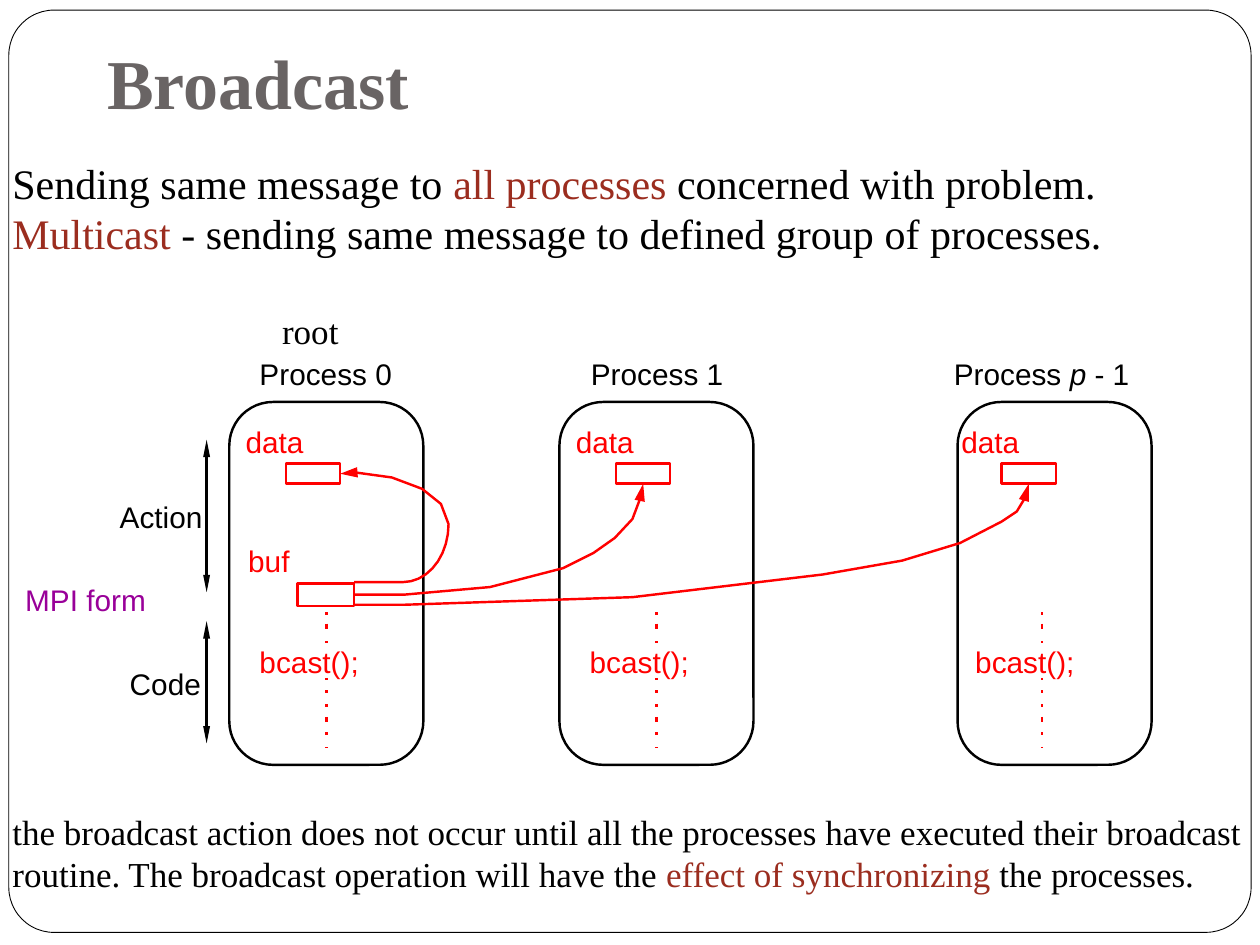
import math
from dataclasses import dataclass
from typing import NamedTuple

from lxml import etree
from pptx import Presentation
from pptx.dml.color import RGBColor
from pptx.enum import shapes, text
from pptx.oxml.ns import qn
from pptx.util import Inches, Pt


@dataclass(frozen=True)
class Theme:
    ink: RGBColor = RGBColor(0, 0, 0)
    heading: RGBColor = RGBColor(0x69, 0x64, 0x64)
    accent: RGBColor = RGBColor(0x9B, 0x2D, 0x1F)
    message: RGBColor = RGBColor(0xFF, 0, 0)
    mpi: RGBColor = RGBColor(0x99, 0, 0x99)
    serif: str = "Times New Roman"
    sans: str = "Arial"
    title_size: int = 40
    intro_size: int = 24
    note_size: int = 20
    label_size: int = 17
    stroke: float = 1.39
    frame_stroke: float = 0.5


THEME = Theme()


class Box(NamedTuple):
    left: float
    top: float
    width: float
    height: float


class Words(NamedTuple):
    wording: str
    color: RGBColor = THEME.ink
    italic: bool = False


@dataclass(frozen=True)
class Process:
    left: float
    name: list[Words]
    name_left: float
    name_width: float = 1.2
    shift: float = 0


class Message(NamedTuple):
    route: list[tuple[float, float]]
    side: int


PROCESSES = [
    Process(1.82, [Words("Process 0")], 2.06),
    Process(4.44, [Words("Process 1")], 4.69),
    Process(7.6, [Words("Process "), Words("p", italic=True), Words(" - 1")],
            7.57, 1.6, -0.1),
]
TICKS = [(4.86, 4.88), (4.95, 4.99), (5.09, 5.1), (5.38, 5.4), (5.48, 5.5),
         (5.59, 5.61), (5.69, 5.73), (5.81, 5.83), (5.93, 5.94)]
PHASES = [
    ("Action", Box(0.95, 3.96, 0.68, 0.28), 3.49, 4.7),
    ("Code", Box(1.03, 5.28, 0.6, 0.28), 4.93, 5.9),
]
BEND = [(3.2 + 0.36 * math.sin(math.radians(angle)),
         4.16 + 0.46 * math.cos(math.radians(angle))) for angle in range(0, 91, 10)]
MESSAGES = [
    Message([(2.81, 4.62), *BEND, (3.5, 4), (3.35, 3.88), (3.11, 3.79), (2.82, 3.75)], 3),
    Message([(2.81, 4.72), (3.21, 4.72), (3.89, 4.66), (4.47, 4.51), (4.71, 4.39),
             (4.88, 4.27), (5.02, 4.12), (5.08, 3.96)], 2),
    Message([(2.81, 4.8), (3.21, 4.8), (5.02, 4.74), (6.53, 4.56), (7.16, 4.45),
             (7.62, 4.31), (7.95, 4.14), (8.07, 4.06), (8.13, 3.96)], 2),
]


def emu(lengths) -> list[int]:
    return [Inches(length) for length in lengths]


def write(paragraph, words: list[Words], size: int, font: str, bold: bool = False) -> None:
    for part in words:
        run = paragraph.add_run()
        run.text = part.wording
        run.font.size = Pt(size)
        run.font.name = font
        run.font.bold = bold
        run.font.italic = part.italic
        run.font.color.rgb = part.color


def add_passage(slide, box: Box, lines: list[list[Words]], size: int, wrap: bool = True) -> None:
    frame = slide.shapes.add_textbox(*emu(box)).text_frame
    frame.word_wrap = wrap
    frame.auto_size = text.MSO_AUTO_SIZE.SHAPE_TO_FIT_TEXT
    paragraph = frame.paragraphs[0]
    for position, words in enumerate(lines):
        if position:
            paragraph.add_line_break()
        write(paragraph, words, size, THEME.serif)


def add_label(slide, box: Box, words: list[Words]) -> None:
    frame = slide.shapes.add_textbox(*emu(box)).text_frame
    frame.word_wrap = True
    frame.auto_size = text.MSO_AUTO_SIZE.NONE
    frame.margin_left = frame.margin_right = frame.margin_top = frame.margin_bottom = 0
    write(frame.paragraphs[0], words, THEME.label_size, THEME.sans)


def outline(shape, color: RGBColor, width: float = THEME.stroke) -> None:
    shape.shadow.inherit = False
    shape.fill.background()
    shape.line.color.rgb = color
    shape.line.width = Pt(width)


def add_outline(slide, kind, box: Box, color: RGBColor, width: float = THEME.stroke,
                corner: float | None = None):
    shape = slide.shapes.add_shape(kind, *emu(box))
    outline(shape, color, width)
    if corner is not None:
        shape.adjustments[0] = corner
    return shape


def add_line(slide, start: tuple[float, float], end: tuple[float, float], color: RGBColor,
             ends: tuple[str, ...] = (), head_width: str = "sm"):
    line = slide.shapes.add_connector(
        shapes.MSO_CONNECTOR.STRAIGHT, *emu((*start, *end)))
    line.line.color.rgb = color
    line.line.width = Pt(THEME.stroke)
    stroke = line.line._get_or_add_ln()
    for tag in ends:
        etree.SubElement(stroke, qn(tag), type="triangle", w=head_width, len="lg")
    etree.SubElement(line._element.spPr, qn("a:effectLst"))
    return line


def add_process(slide, process: Process):
    inner = process.left + process.shift
    add_outline(slide, shapes.MSO_SHAPE.ROUNDED_RECTANGLE,
                Box(process.left, 3.19, 1.54, 2.88), THEME.ink, corner=0.225)
    add_label(slide, Box(process.name_left, 2.82, process.name_width, 0.28), process.name)
    add_label(slide, Box(inner + 0.13, 3.36, 0.6, 0.28), [Words("data", THEME.message)])
    add_label(slide, Box(inner + 0.24, 5.11, 0.9, 0.28), [Words("bcast();", THEME.message)])
    for top, bottom in TICKS:
        add_line(slide, (inner + 0.77, top), (inner + 0.77, bottom), THEME.message)
    return add_outline(slide, shapes.MSO_SHAPE.RECTANGLE,
                       Box(inner + 0.45, 3.68, 0.43, 0.16), THEME.message)


def add_message(slide, message: Message, data) -> None:
    start, *rest = message.route
    builder = slide.shapes.build_freeform(*emu(start))
    builder.add_line_segments([tuple(emu(point)) for point in rest], close=False)
    outline(builder.convert_to_shape(), THEME.message)
    arrow = add_line(slide, rest[-1], rest[-1], THEME.message, ("a:tailEnd",), "med")
    arrow.end_connect(data, message.side)


def main() -> None:
    deck = Presentation()
    deck.slide_width, deck.slide_height = emu((10, 7.5))
    slide = deck.slides.add_slide(deck.slide_layouts[5])
    add_outline(slide, shapes.MSO_SHAPE.ROUNDED_RECTANGLE, Box(0.07, 0.08, 9.86, 7.32),
                THEME.ink, THEME.frame_stroke, 0.049)

    title = slide.shapes.title
    title.left, title.top, title.width, title.height = emu((0.75, 0.25, 8.5, 0.83))
    heading = title.text_frame
    heading.vertical_anchor = text.MSO_ANCHOR.BOTTOM
    heading.margin_bottom = Inches(0.1)
    heading.paragraphs[0].alignment = text.PP_ALIGN.LEFT
    write(heading.paragraphs[0], [Words("Broadcast", THEME.heading)],
          THEME.title_size, THEME.serif, bold=True)

    add_passage(slide, Box(0, 1.2, 10, 0.9), [
        [Words("Sending same message to "), Words("all processes", THEME.accent),
         Words(" concerned with problem.")],
        [Words("Multicast", THEME.accent),
         Words(" - sending same message to defined group of processes.")],
    ], THEME.intro_size)
    add_passage(slide, Box(2.14, 2.41, 0.65, 0.44), [[Words("root")]], THEME.note_size, wrap=False)

    data_boxes = [add_process(slide, process) for process in PROCESSES]
    add_label(slide, Box(1.97, 4.31, 0.4, 0.28), [Words("buf", THEME.message)])
    add_outline(slide, shapes.MSO_SHAPE.RECTANGLE, Box(2.36, 4.63, 0.45, 0.18), THEME.message)
    for message, data in zip(MESSAGES, data_boxes):
        add_message(slide, message, data)

    for phase, box, top, bottom in PHASES:
        add_label(slide, box, [Words(phase)])
        add_line(slide, (1.64, top), (1.64, bottom), THEME.ink, ("a:headEnd", "a:tailEnd"))
    add_label(slide, Box(0.2, 4.62, 1.2, 0.28), [Words("MPI form", THEME.mpi)])

    add_passage(slide, Box(0, 6.38, 10, 0.77), [[
        Words("the broadcast action does not occur until all the processes have executed "
              "their broadcast routine. The broadcast operation will have the "),
        Words("effect of synchronizing", THEME.accent), Words(" the processes."),
    ]], THEME.note_size)
    deck.save("out.pptx")


if __name__ == "__main__":
    main()
